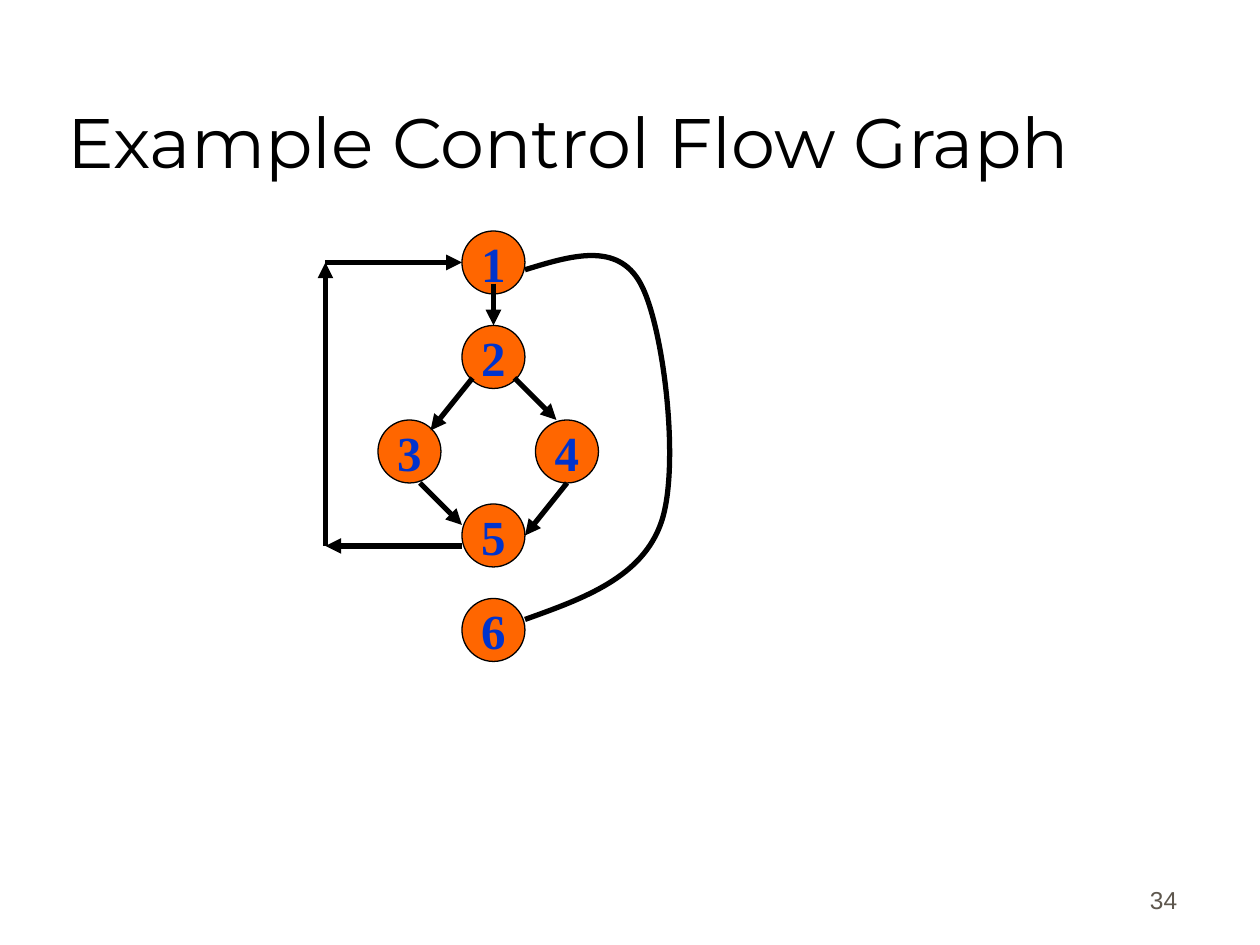
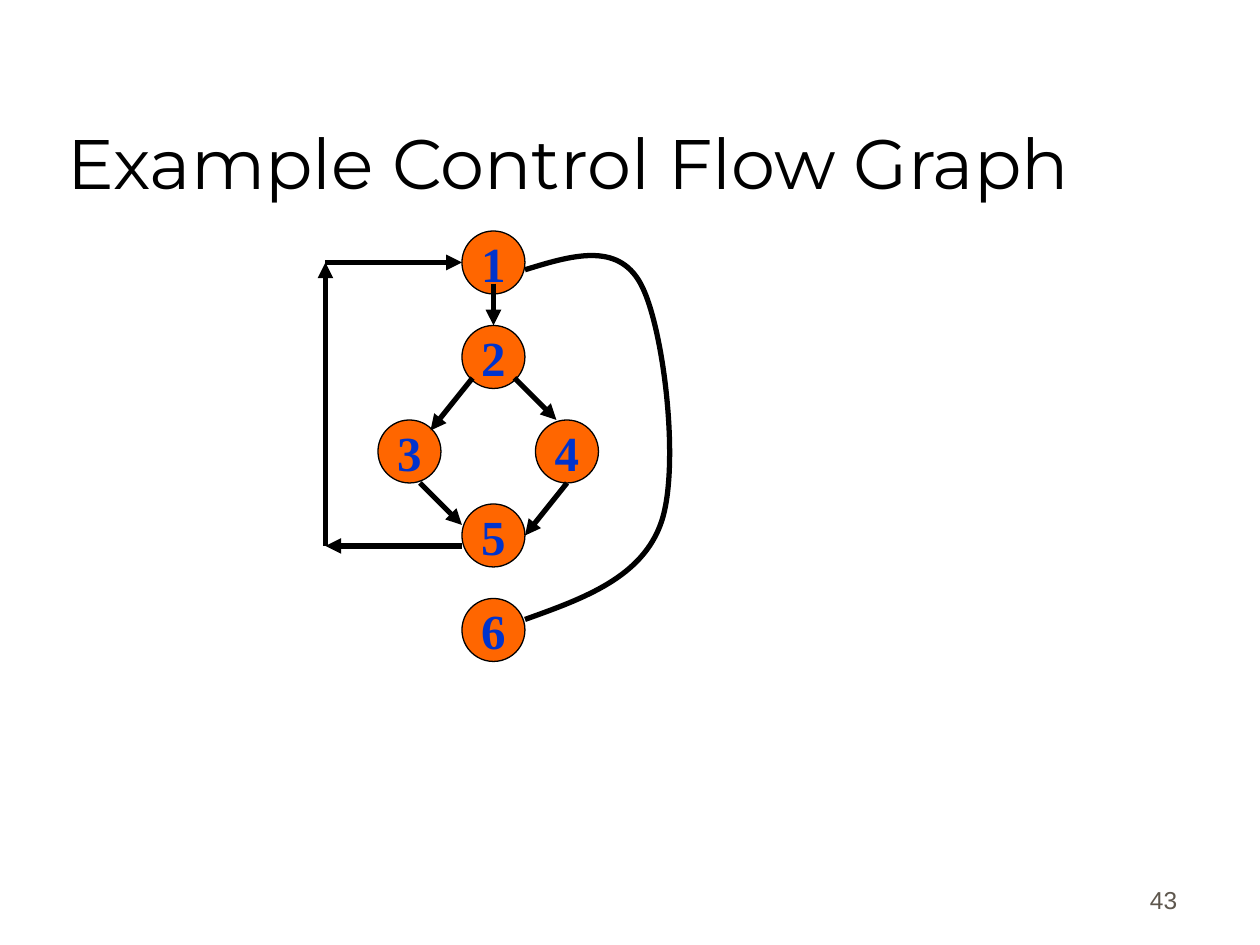
from dataclasses import dataclass

from lxml import etree
from pptx import Presentation
from pptx.dml.color import RGBColor
from pptx.enum.shapes import MSO_CONNECTOR, MSO_SHAPE
from pptx.enum.text import MSO_ANCHOR, PP_ALIGN
from pptx.oxml.ns import qn
from pptx.util import Inches, Pt

STRAIGHT, OVAL = MSO_CONNECTOR.STRAIGHT, MSO_SHAPE.OVAL
MIDDLE, BOTTOM = MSO_ANCHOR.MIDDLE, MSO_ANCHOR.BOTTOM
LEFT, CENTER, RIGHT = PP_ALIGN.LEFT, PP_ALIGN.CENTER, PP_ALIGN.RIGHT

# The slide is a grid of square cells, twelve to the inch.
COLUMNS, ROWS = 120, 90
CELL = Inches(10) // COLUMNS
NODE_SIZE = 6

TITLE = "Example Control Flow Graph"
# Page number and the row where the title box starts
PAGES = [("34", 3), ("43", 5)]

# Left column and top row of each node
NODES = {"1": (44, 22), "2": (44, 31), "3": (36, 40),
         "4": (51, 40), "5": (44, 48), "6": (44, 57)}

BRANCH_ARROWS = [((47, 27), (47, 31)), ((45, 36), (41, 41)), ((49, 36), (53, 40)),
                 ((40, 46), (44, 50)), ((54, 46), (50, 51))]
LOOP_BACK = [(44, 52), (31, 52), (31, 25), (44, 25)]

# Start point, then two control points and an end point for each curve
EXIT_CURVE = [(50, 25.7),
              (54.4, 24.35), (58.8, 23), (61, 27),
              (63.2, 31), (64.8, 44.35), (63, 49.7),
              (61.2, 55), (55.6, 57), (50, 59)]


@dataclass(frozen=True)
class Theme:
    ink: str = "000000"
    node_fill: str = "FF6600"
    node_text: str = "0033CC"
    page_number: str = "5E574E"
    title_font: str = "Montserrat"
    node_font: str = "Times New Roman"
    page_font: str = "Arial"
    title_size: float = 40
    node_size: float = 28
    page_size: float = 14
    outline: float = 0.75
    edge: float = 3


def grid(*cells):
    return [round(cell * CELL) for cell in cells]


def write_text(shape, text, *, font, size, color, bold=False,
               align=LEFT, anchor=BOTTOM, wrap=True):
    frame = shape.text_frame
    frame.word_wrap = wrap
    frame.vertical_anchor = anchor
    paragraph = frame.paragraphs[0]
    paragraph.alignment = align
    run = paragraph.add_run()
    run.text = text
    run.font.name = font
    run.font.size = Pt(size)
    run.font.bold = bold
    run.font.color.rgb = RGBColor.from_string(color)


class SlideBuilder:
    def __init__(self, presentation, theme):
        self.presentation = presentation
        self.theme = theme
        self.slide = None

    def new_slide(self):
        self.slide = self.presentation.slides.add_slide(
            self.presentation.slide_layouts[6])

    def text(self, text, column, row, width, height, **text_format):
        box = self.slide.shapes.add_textbox(*grid(column, row, width, height))
        write_text(box, text, **text_format)

    def title(self, text, row):
        self.text(text, 5.25, row, 102, 15, font=self.theme.title_font,
                  size=self.theme.title_size, color=self.theme.ink)

    def page_number(self, number):
        self.text(number, 88.3, 81.7, 25, 6, font=self.theme.page_font,
                  size=self.theme.page_size, color=self.theme.page_number,
                  align=RIGHT)

    def set_line(self, line, width):
        line.color.rgb = RGBColor.from_string(self.theme.ink)
        line.width = Pt(width)

    def node(self, label, column, row):
        circle = self.slide.shapes.add_shape(
            OVAL, *grid(column, row, NODE_SIZE, NODE_SIZE))
        circle.shadow.inherit = False
        circle.fill.solid()
        circle.fill.fore_color.rgb = RGBColor.from_string(self.theme.node_fill)
        self.set_line(circle.line, self.theme.outline)
        write_text(circle, label, font=self.theme.node_font,
                   size=self.theme.node_size, color=self.theme.node_text,
                   bold=True, align=CENTER, anchor=MIDDLE, wrap=False)

    def arrow(self, start, end):
        connector = self.slide.shapes.add_connector(STRAIGHT, *grid(*start, *end))
        self.set_line(connector.line, self.theme.edge)
        properties = connector.element.spPr
        etree.SubElement(properties.find(qn("a:ln")), qn("a:tailEnd"), type="triangle")
        etree.SubElement(properties, qn("a:effectLst"))

    def curve(self, points):
        """Draw an open outline and turn each three segments into a cubic curve."""
        start, *others = [grid(*point) for point in points]
        builder = self.slide.shapes.build_freeform(*start)
        builder.add_line_segments(others, close=False)
        shape = builder.convert_to_shape()
        shape.shadow.inherit = False
        shape.fill.background()
        self.set_line(shape.line, self.theme.edge)
        segments = shape.element.xpath(".//a:lnTo")
        for first in range(0, len(segments), 3):
            group = segments[first:first + 3]
            cubic = etree.Element(qn("a:cubicBezTo"))
            group[0].addprevious(cubic)
            for segment in group:
                cubic.append(segment[0])
                segment.getparent().remove(segment)

    def control_flow_graph(self):
        for label, position in NODES.items():
            self.node(label, *position)
        for start, end in BRANCH_ARROWS + list(zip(LOOP_BACK, LOOP_BACK[1:])):
            self.arrow(start, end)
        self.curve(EXIT_CURVE)


def main():
    presentation = Presentation()
    presentation.slide_width, presentation.slide_height = grid(COLUMNS, ROWS)
    builder = SlideBuilder(presentation, Theme())
    for number, title_row in PAGES:
        builder.new_slide()
        builder.page_number(number)
        builder.title(TITLE, title_row)
        builder.control_flow_graph()
    presentation.save("out.pptx")


if __name__ == "__main__":
    main()
